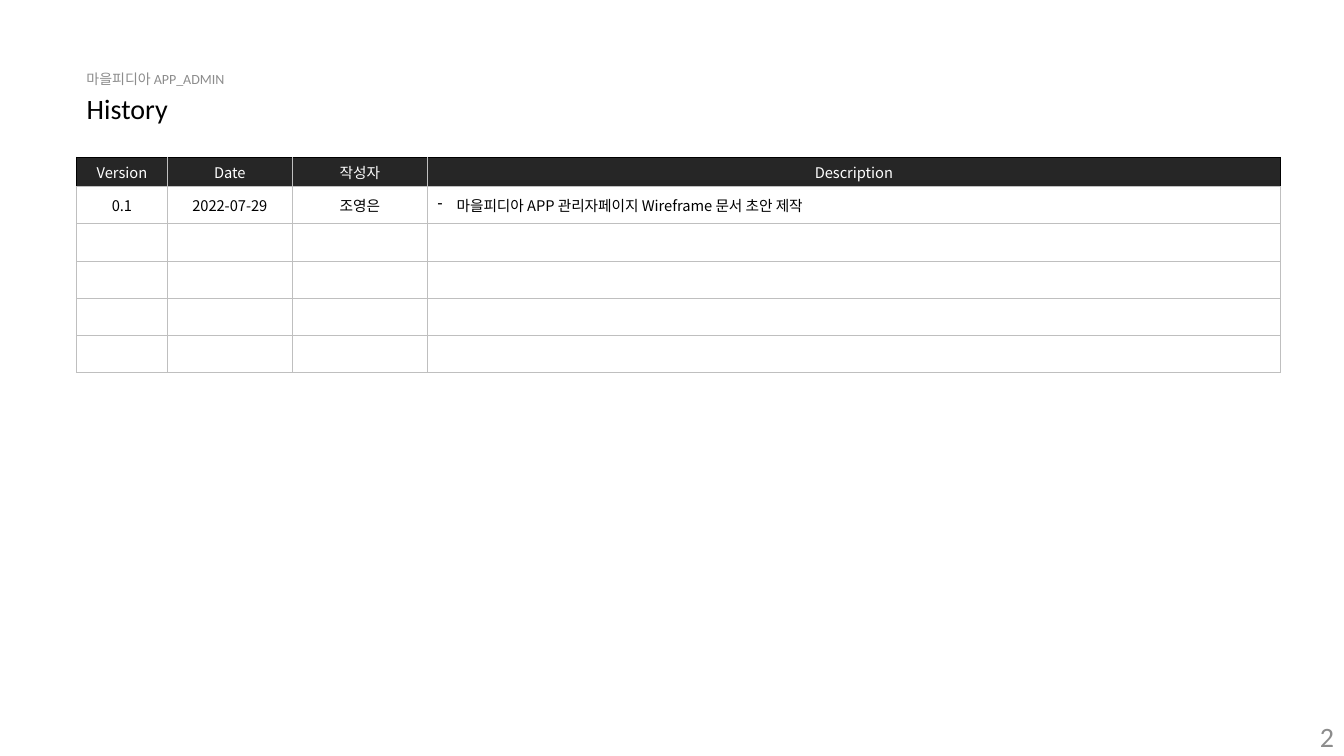
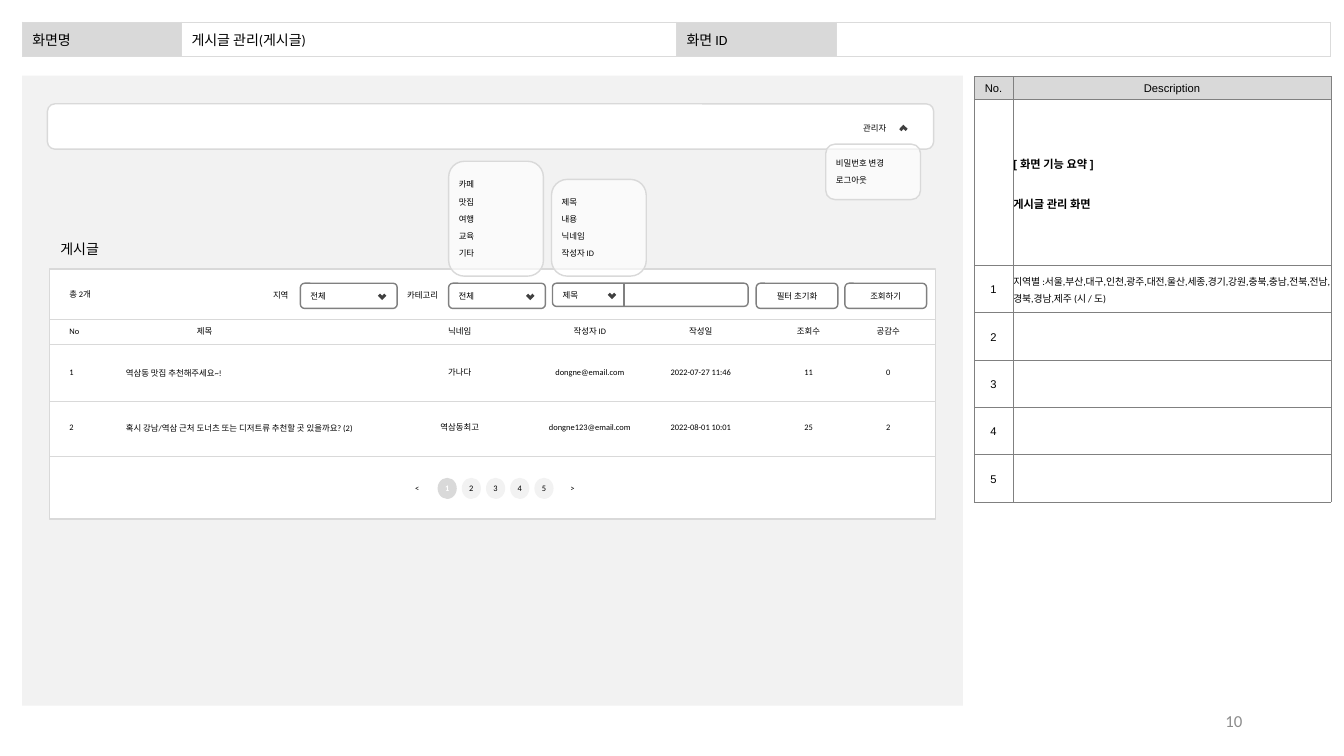
from lxml.etree import SubElement
from pptx import Presentation
from pptx.dml.color import RGBColor
from pptx.enum.shapes import MSO_CONNECTOR, MSO_SHAPE
from pptx.enum.text import MSO_ANCHOR, MSO_AUTO_SIZE, PP_ALIGN
from pptx.oxml.ns import qn
from pptx.util import Inches, Pt

BLACK, WHITE, DARK = "000000", "FFFFFF", "262626"
PALE, LIGHT, SILVER = "F2F2F2", "D9D9D9", "BFBFBF"
MUTED, GRAY, ICON = "8C8C8C", "808080", "404040"
LATIN, HANGUL, SANS = "Calibri", "Noto Sans CJK KR", "Arial"
LEFT, CENTER, RIGHT = PP_ALIGN.LEFT, PP_ALIGN.CENTER, PP_ALIGN.RIGHT


def color(code):
    return RGBColor.from_string(code)


def write(frame, text, size, tint=BLACK, font=LATIN, align=LEFT, bold=False,
          spacing=None, gap=0):
    """Fill a text frame; each line of text becomes a paragraph."""
    frame.text = text
    frame.word_wrap = True
    for number, para in enumerate(frame.paragraphs):
        para.alignment = align
        if spacing:
            para.line_spacing = spacing
        if number and gap:
            para.space_before = Pt(gap)
        for run in para.runs:
            run.font.size = Pt(size)
            run.font.bold = bold
            run.font.color.rgb = color(tint)
            run.font.name = font
            latin = run.font._element.find(qn("a:latin"))
            east = latin.makeelement(qn("a:ea"), {"typeface": HANGUL})
            latin.addnext(east)


def label(slide, text, x, y, w, h=0.2, size=6, tint=BLACK, align=LEFT,
          anchor=MSO_ANCHOR.TOP):
    frame = slide.shapes.add_textbox(
        Inches(x), Inches(y), Inches(w), Inches(h)).text_frame
    frame.vertical_anchor = anchor
    write(frame, text, size, tint, align=align)


def draw(slide, kind, x, y, w, h, fill, edge=None):
    shape = slide.shapes.add_shape(
        kind, Inches(x), Inches(y), Inches(w), Inches(h))
    shape.shadow.inherit = False
    shape.fill.solid()
    shape.fill.fore_color.rgb = color(fill)
    if edge:
        shape.line.color.rgb = color(edge)
        shape.line.width = Pt(1)
    else:
        shape.line.fill.background()
    return shape


def rule(slide, x1, y1, x2, y2, tint, width):
    line = slide.shapes.add_connector(
        MSO_CONNECTOR.STRAIGHT, Inches(x1), Inches(y1), Inches(x2), Inches(y2))
    line.line.color.rgb = color(tint)
    line.line.width = Pt(width)
    SubElement(line.element.spPr, qn("a:effectLst"))


def rounded(slide, x, y, w, h, text="", edge=GRAY, align=LEFT, gap=0):
    """Draw a rounded box whose text starts 0.1 inch from its left side."""
    shape = draw(slide, MSO_SHAPE.ROUNDED_RECTANGLE, x, y, w, h, WHITE, edge)
    if text:
        frame = shape.text_frame
        frame.margin_top = frame.margin_bottom = 0
        corner = 0.29 * min(w, h) / 6
        frame.margin_left = Inches(0.1 - corner if align == LEFT else 0)
        frame.margin_right = 0
        frame.vertical_anchor = MSO_ANCHOR.MIDDLE
        write(frame, text, 6, align=align, gap=gap)
    return shape


def chevron(slide, x, y, angle=315):
    mark = draw(slide, MSO_SHAPE.CORNER, x, y, 0.06, 0.06, ICON)
    mark.rotation = angle


def select(slide, x, y, w, h, text, mark):
    rounded(slide, x, y, w, h, text)
    chevron(slide, x + mark, y + (h - 0.06) / 2)


def menu(slide, x, y, w, h, items):
    shape = rounded(slide, x, y, w, h, "\n".join(items), LIGHT, gap=5)
    tint = shape.element.spPr.find(qn("a:solidFill"))[0]
    SubElement(tint, qn("a:alpha"), val="64000")


def border(cell, tint, width, sides="LRTB"):
    props = cell._tc.get_or_add_tcPr()
    for place, side in enumerate("LRTB"):
        if side not in sides:
            continue
        tag = qn(f"a:ln{side}")
        old = props.find(tag)
        if old is not None:
            props.remove(old)
        line = props.makeelement(tag, {"w": str(Pt(width))})
        props.insert(place, line)
        fill = SubElement(line, qn("a:solidFill"))
        SubElement(fill, qn("a:srgbClr"), val=tint)


def grid(slide, x, y, widths, heights, edge, width):
    """Add a plain ruled table with empty, unfilled cells."""
    table = slide.shapes.add_table(
        len(heights), len(widths), Inches(x), Inches(y),
        Inches(sum(widths)), Inches(sum(heights))).table
    table.first_row = table.horz_banding = False
    for column, size in zip(table.columns, widths):
        column.width = Inches(size)
    for row, size in zip(table.rows, heights):
        row.height = Inches(size)
    for cell in table.iter_cells():
        cell.fill.background()
        cell.margin_top = cell.margin_bottom = 0
        cell.vertical_anchor = MSO_ANCHOR.MIDDLE
        border(cell, edge, width)
    return table


def paint(cell, fill):
    cell.fill.solid()
    cell.fill.fore_color.rgb = color(fill)


def page(slide, number, x, y, size):
    label(slide, number, x, y, 3, 0.4, size, MUTED, RIGHT, MSO_ANCHOR.MIDDLE)


def heading(slide, kicker, text, x, y):
    label(slide, kicker, x, y, 1.74, 0.31, 10, MUTED)
    title = slide.shapes.title
    title.left, title.top = Inches(x), Inches(y + 0.35)
    title.width, title.height = Inches(1.34), Inches(0.3)
    frame = title.text_frame
    frame.auto_size = MSO_AUTO_SIZE.NONE
    frame.vertical_anchor = MSO_ANCHOR.BOTTOM
    write(frame, text, 20, spacing=0.9)


def versions(slide, x, y):
    table = grid(slide, x, y, [0.9, 1.24, 1.34, 8.46],
                 [0.29] + [0.37] * 5, SILVER, 0.5)
    heads = ["Version", "Date", "작성자", "Description"]
    first = ["0.1", "2022-07-29", "조영은",
             "마을피디아 APP 관리자페이지 Wireframe 문서 초안 제작"]
    for col, (head, text) in enumerate(zip(heads, first)):
        top, cell = table.cell(0, col), table.cell(1, col)
        paint(top, DARK)
        border(top, BLACK, 0.5, {0: "LT", 3: "RT"}.get(col, "T"))
        write(top.text_frame, head, 10.5, WHITE, HANGUL, CENTER)
        write(cell.text_frame, text, 10.5, font=HANGUL,
              align=LEFT if col == 3 else CENTER)
    props = table.cell(1, 3).text_frame.paragraphs[0]._p.get_or_add_pPr()
    props.set("marL", str(Inches(0.19)))
    props.set("indent", str(Inches(-0.19)))
    SubElement(props, qn("a:buChar"), char="-")


def banner(slide, x, y):
    table = grid(slide, x, y, [1.58, 4.91, 1.59, 4.9], [0.34], "DBDBDB", 0.75)
    for col, text in enumerate(["화면명", "게시글 관리(게시글)", "화면 ID"]):
        cell = table.cell(0, col)
        write(cell.text_frame, text, 10)
        if col % 2 == 0:
            paint(cell, LIGHT)


def remarks(slide, x, y):
    table = grid(slide, x, y, [0.39, 3.15], [0.22, 1.65] + [0.47] * 5,
                 GRAY, 0.25)
    for cell in table.iter_cells():
        paint(cell, WHITE)
        cell.margin_left = cell.margin_right = 0
    for col, text in enumerate(["No.", "Description"]):
        paint(table.cell(0, col), LIGHT)
        write(table.cell(0, col).text_frame, text, 8, font=SANS,
              align=CENTER, spacing=1.2)
    write(table.cell(1, 1).text_frame, "[ 화면 기능 요약 ]\n게시글 관리 화면",
          8, font=SANS, bold=True, spacing=1.2, gap=14)
    for number in range(1, 6):
        write(table.cell(number + 1, 0).text_frame, str(number), 8,
              font=SANS, align=CENTER, spacing=1.2)
    write(table.cell(2, 1).text_frame,
          "지역별 :서울,부산,대구,인천,광주,대전,울산,세종,경기,강원,충북,"
          "충남,전북,전남,경북,경남,제주 (시 / 도)", 7, spacing=1.2)


def board(slide, x, y):
    draw(slide, MSO_SHAPE.RECTANGLE, x, y, 8.79, 2.48, WHITE, LIGHT)
    for drop, width in [(0.5, 1), (0.75, 1), (1.31, 0.5), (1.86, 0.5)]:
        rule(slide, x, y + drop, x + 8.79, y + drop, LIGHT, width)
    middles = [4.07, 5.36, 6.46, 7.53, 8.32]
    rows = [
        (0.52, "No", "제목", "닉네임", "작성자 ID", "작성일", "조회수", "공감수"),
        (0.92, "1", "역삼동 맛집 추천해주세요~!", "가나다", "dongne@email.com",
         "2022-07-27 11:46", "11", "0"),
        (1.47, "2", "혹시 강남/역삼 근처 도너츠 또는 디저트류 추천할 곳 있을까요? (2)",
         "역삼동최고", "dongne123@email.com", "2022-08-01 10:01", "25", "2"),
    ]
    for place, (drop, number, topic, *rest) in enumerate(rows):
        label(slide, number, x + 0.1, y + drop, 0.56)
        if place:
            label(slide, topic, x + 0.66, y + drop + 0.01, 2.78)
        else:
            label(slide, topic, x + 1.09, y + drop, 0.9, align=CENTER)
        for middle, text in zip(middles, rest):
            label(slide, text, x + middle - 0.57, y + drop, 1.14, align=CENTER)


def filters(slide, x, y):
    label(slide, "총 2개", x + 0.1, y + 0.01, 0.56)
    for text, left, field in [("지역", 2.12, 2.49), ("카테고리", 3.45, 3.96)]:
        label(slide, text, x + left, y + 0.02, 0.56)
        select(slide, x + field, y, 0.96, 0.25, "전체", 0.78)
    select(slide, x + 4.99, y, 1.94, 0.23, "제목", 0.56)
    rule(slide, x + 5.7, y, x + 5.7, y + 0.23, GRAY, 1)
    for text, left in [("필터 초기화", 7.01), ("조회하기", 7.89)]:
        rounded(slide, x + left, y, 0.81, 0.25, text, align=CENTER)


def pager(slide, x, y):
    label(slide, "<", x, y, 0.26)
    for number in range(1, 6):
        current = number == 1
        dot = draw(slide, MSO_SHAPE.OVAL, x + 0.08 + 0.24 * number, y,
                   0.19, 0.21, LIGHT if current else PALE)
        frame = dot.text_frame
        frame.margin_left = frame.margin_right = 0
        frame.margin_top = frame.margin_bottom = 0
        frame.vertical_anchor = MSO_ANCHOR.MIDDLE
        write(frame, str(number), 6, WHITE if current else BLACK,
              align=CENTER, bold=current)
    label(slide, ">", x + 1.54, y, 0.26)


def account(slide, x, y):
    rounded(slide, x, y, 8.79, 0.45, edge=LIGHT)
    label(slide, "관리자", x + 7.8, y + 0.14, 0.81, align=CENTER)
    chevron(slide, x + 8.46, y + 0.22, 132.5)
    menu(slide, x + 7.72, y + 0.4, 0.94, 0.55, ["비밀번호 변경", "로그아웃"])


def screen(slide, x, y):
    draw(slide, MSO_SHAPE.RECTANGLE, x, y, 9.33, 6.25, PALE)
    label(slide, "게시글", x + 0.28, y + 1.59, 1.29, 0.27, 10)
    board(slide, x + 0.27, y + 1.92)
    filters(slide, x + 0.27, y + 2.06)
    pager(slide, x + 3.8, y + 3.99)
    account(slide, x + 0.25, y + 0.28)
    menu(slide, x + 4.23, y + 0.85, 0.94, 1.14,
         ["카페", "맛집", "여행", "교육", "기타"])
    menu(slide, x + 5.25, y + 1.03, 0.94, 0.96,
         ["제목", "내용", "닉네임", "작성자 ID"])


def main():
    deck = Presentation()
    deck.slide_width, deck.slide_height = Inches(13.33), Inches(7.5)

    history = deck.slides.add_slide(deck.slide_layouts[5])
    heading(history, "마을피디아 APP_ADMIN", "History", 0.76, 0.65)
    versions(history, 0.76, 1.56)
    page(history, "2", 10.33, 7.1, 20)

    posts = deck.slides.add_slide(deck.slide_layouts[6])
    banner(posts, 0.22, 0.22)
    screen(posts, 0.22, 0.75)
    remarks(posts, 9.66, 0.76)
    page(posts, "10", 9.42, 6.95, 12)
    deck.save("out.pptx")


if __name__ == "__main__":
    main()
